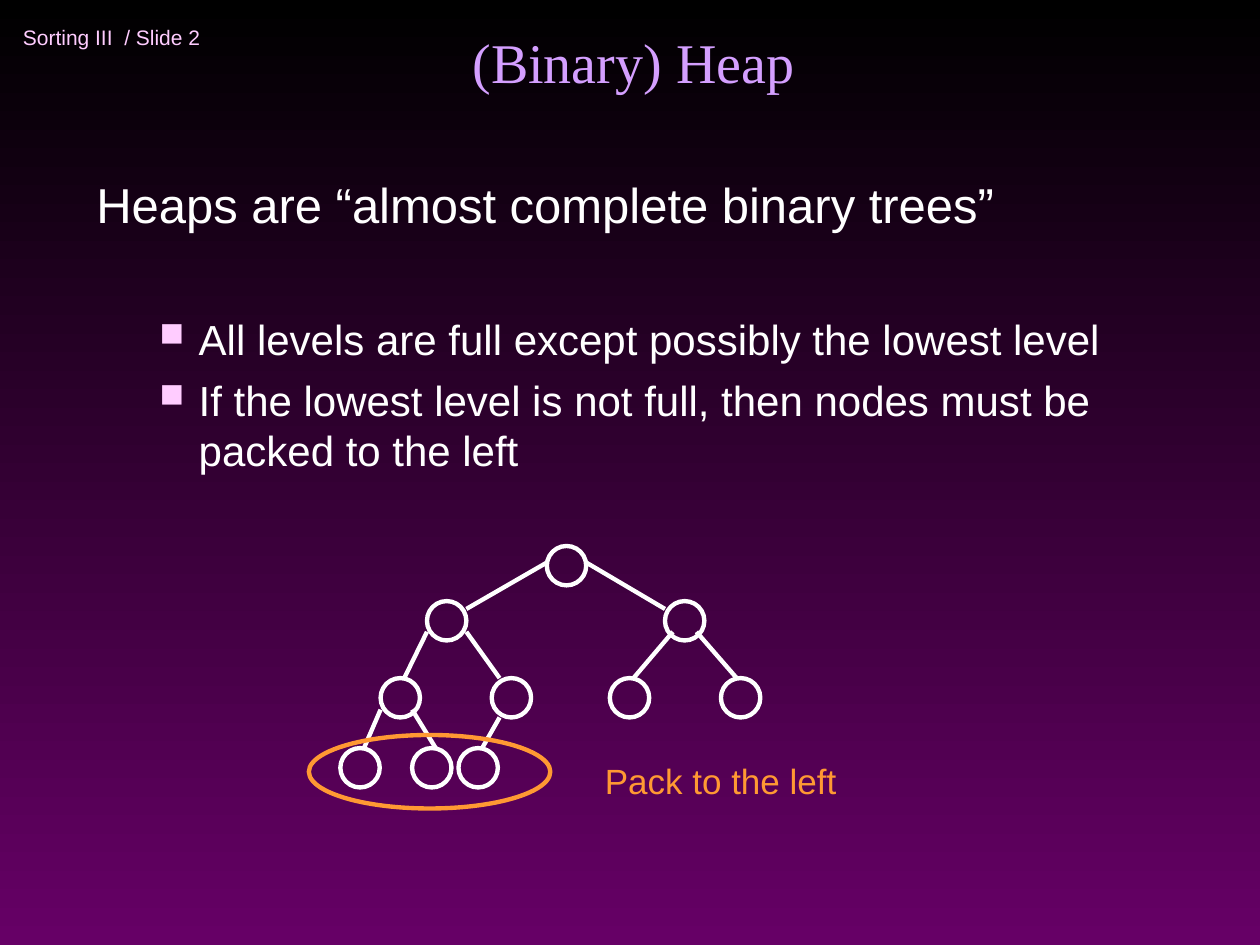
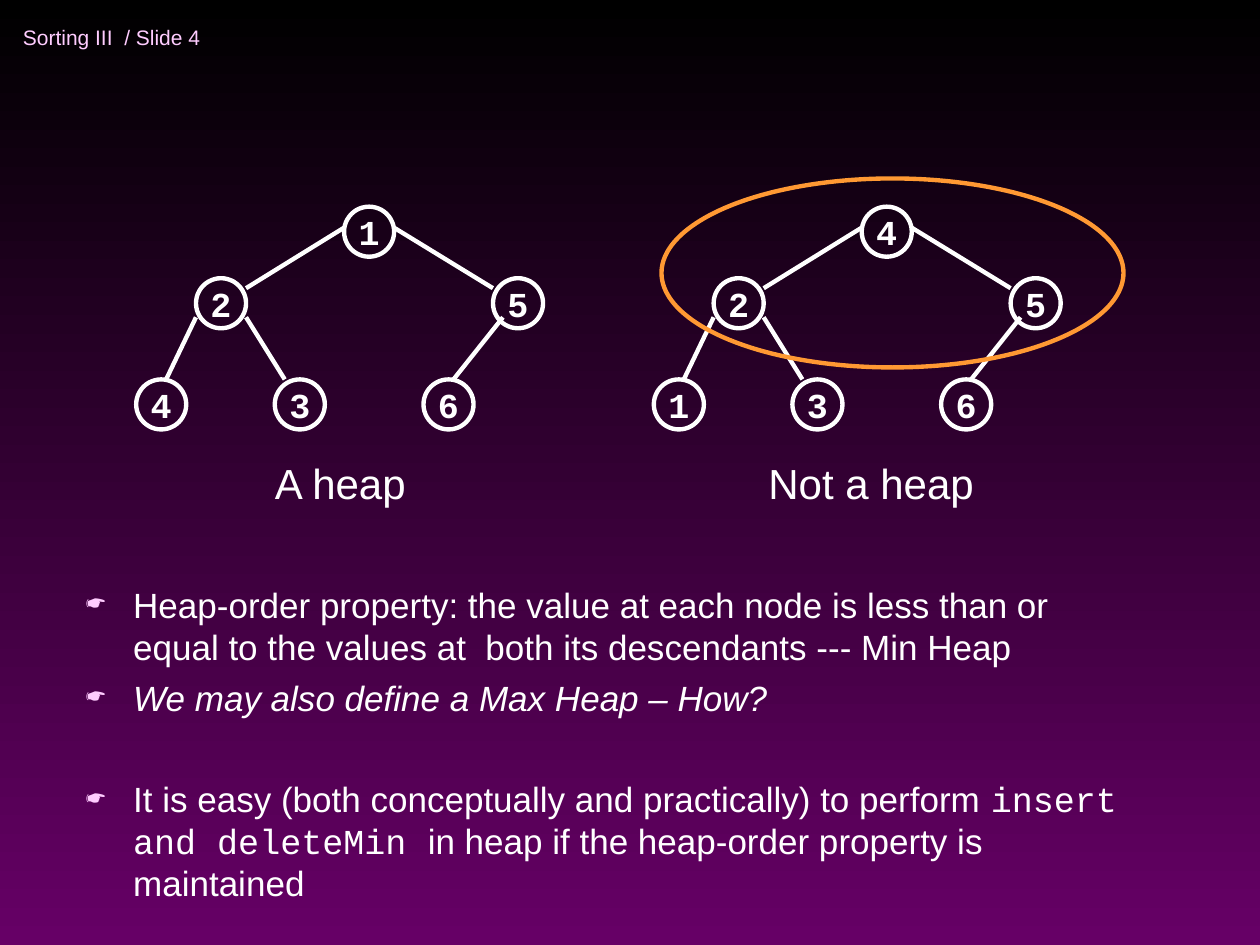
import pptx
import pptx.dml.color
import pptx.enum.shapes
import pptx.enum.text
import pptx.oxml.ns
import pptx.util
from lxml import etree

Pt = pptx.util.Pt
RGBColor = pptx.dml.color.RGBColor
MSO_SHAPE = pptx.enum.shapes.MSO_SHAPE
MSO_CONNECTOR = pptx.enum.shapes.MSO_CONNECTOR
MSO_ANCHOR = pptx.enum.text.MSO_ANCHOR
MSO_AUTO_SIZE = pptx.enum.text.MSO_AUTO_SIZE
PP_ALIGN = pptx.enum.text.PP_ALIGN
qn = pptx.oxml.ns.qn

BLACK = RGBColor(0x00, 0x00, 0x00)
PURPLE = RGBColor(0x66, 0x00, 0x66)
WHITE = RGBColor(0xFF, 0xFF, 0xFF)
PINK = RGBColor(0xFF, 0xCC, 0xFF)
LILAC = RGBColor(0xD4, 0x9F, 0xFF)
ORANGE = RGBColor(0xFF, 0x99, 0x33)

SANS = "Arial"
SERIF = "Times New Roman"
MONO = "Courier New"
LINE_WIDTH = 2.5
TITLE_ONLY, BLANK = 5, 6

# Edge: parent, start within parent, child, end within child (fractions of a node)
TOP_EDGES = [
    ("root", (0, 0.42), "L", (1, 0.2)),
    ("root", (1, 0.42), "R", (0, 0.2)),
    ("L", (0, 0.78), "LL", (0.6, 0)),
    ("L", (1, 0.78), "LR", (0.2, 0)),
    ("R", (0.2, 0.78), "RL", (0.6, 0)),
]
LOW_EDGES = [
    ("R", (0.8, 0.78), "RR", (0.4, 0)),
    ("LL", (0, 0.8), "LLL", (0.6, 0)),
    ("LL", (0.8, 0.8), "LLR", (0.6, 0)),
    ("LR", (0.2, 1), "LRL", (0.6, 0)),
]
PACKED_NODES = {
    "root": (312.5, 312), "L": (244, 343.5), "R": (380, 343.5),
    "LL": (217.5, 387.5), "LR": (281, 387.5),
    "RL": (348.5, 387.5), "RR": (412, 387.5),
    "LLL": (194.5, 427.5), "LLR": (235.5, 427.5), "LRL": (262, 427.5),
}
VALUE_NODES = {
    "root": (196.6, 118.1), "L": (112, 159), "R": (281.7, 159),
    "LL": (77.8, 216.8), "LR": (157, 216.8), "RL": (242, 216.8),
}


def set_background(master):
    fill = master.background.fill
    fill.gradient()
    fill.gradient_angle = 270
    for stop, color in zip(fill.gradient_stops, (BLACK, PURPLE)):
        stop.color.rgb = color


def add_run(paragraph, text, size, color=WHITE, font=SANS, bold=False, italic=False):
    run = paragraph.add_run()
    run.text = text
    run.font.size = Pt(size)
    run.font.name = font
    run.font.color.rgb = color
    run.font.bold = bold
    run.font.italic = italic


def add_text_frame(slide, left, top, width, height, anchor=MSO_ANCHOR.TOP):
    box = slide.shapes.add_textbox(Pt(left), Pt(top), Pt(width), Pt(height))
    frame = box.text_frame
    frame.word_wrap = True
    frame.vertical_anchor = anchor
    return frame


def add_label(slide, text, left, top, width, height, size, color=WHITE,
              anchor=MSO_ANCHOR.TOP):
    frame = add_text_frame(slide, left, top, width, height, anchor)
    add_run(frame.paragraphs[0], text, size, color)


def set_bullet(paragraph, character, percent, margin, indent):
    properties = paragraph._p.get_or_add_pPr()
    properties.set("marL", str(Pt(margin)))
    properties.set("indent", str(Pt(-indent)))
    color = etree.SubElement(properties, qn("a:buClr"))
    etree.SubElement(color, qn("a:srgbClr"), val=str(PINK))
    etree.SubElement(properties, qn("a:buSzPct"), val=str(percent * 1000))
    etree.SubElement(properties, qn("a:buChar"), char=character)


def add_slide(presentation, layout, number):
    slide = presentation.slides.add_slide(presentation.slide_layouts[layout])
    add_label(slide, f"Sorting III  / Slide {number}", 6, 6, 198, 30, 12, PINK,
              MSO_ANCHOR.MIDDLE)
    return slide


def set_title(slide, text):
    title = slide.shapes.title
    title.left, title.top, title.width, title.height = Pt(53), Pt(16.5), Pt(618), Pt(41)
    frame = title.text_frame
    frame.auto_size = MSO_AUTO_SIZE.NONE
    frame.vertical_anchor = MSO_ANCHOR.BOTTOM
    frame.paragraphs[0].alignment = PP_ALIGN.CENTER
    add_run(frame.paragraphs[0], text, 32, LILAC, SERIF)


def add_ellipse(slide, left, top, width, height, color=WHITE):
    ellipse = slide.shapes.add_shape(
        MSO_SHAPE.OVAL, Pt(left), Pt(top), Pt(width), Pt(height))
    ellipse.shadow.inherit = False
    ellipse.fill.background()
    ellipse.line.color.rgb = color
    ellipse.line.width = Pt(LINE_WIDTH)
    return ellipse


def add_node(slide, left, top, size, value):
    node = add_ellipse(slide, left, top, size, size)
    if value:
        frame = node.text_frame
        frame.margin_left = frame.margin_right = 0
        frame.margin_top = frame.margin_bottom = 0
        frame.word_wrap = False
        frame.vertical_anchor = MSO_ANCHOR.MIDDLE
        frame.paragraphs[0].alignment = PP_ALIGN.CENTER
        add_run(frame.paragraphs[0], value, 20, font=MONO, bold=True)


def add_edge(slide, start, end):
    edge = slide.shapes.add_connector(
        MSO_CONNECTOR.STRAIGHT, *(Pt(value) for value in (*start, *end)))
    edge.line.color.rgb = WHITE
    edge.line.width = Pt(LINE_WIDTH)
    etree.SubElement(edge._element.spPr, qn("a:effectLst"))


def add_tree(slide, nodes, edges, size, values=None, shift=0):
    """Draw nodes and edges; values maps node names to their labels."""
    values = values or {}

    def point(name, fraction):
        left, top = nodes[name]
        return left + shift + fraction[0] * size, top + fraction[1] * size

    for name in nodes:
        add_node(slide, *point(name, (0, 0)), size, values.get(name))
    for parent, start, child, end in edges:
        add_edge(slide, point(parent, start), point(child, end))


def build_binary_heap(presentation):
    slide = add_slide(presentation, TITLE_ONLY, 2)
    set_title(slide, "(Binary) Heap")

    frame = add_text_frame(slide, 48, 96, 618, 200)
    add_run(frame.paragraphs[0], "Heaps are “almost complete binary trees”", 28)
    rules = [
        ("All levels are full except possibly the lowest level", 46),
        ("If the lowest level is not full, then nodes must be packed to the left", 6),
    ]
    for text, space_before in rules:
        paragraph = frame.add_paragraph()
        paragraph.level = 1
        paragraph.space_before = Pt(space_before)
        set_bullet(paragraph, "■", 80, 58.5, 22.5)
        add_run(paragraph, text, 24)

    add_tree(slide, PACKED_NODES, TOP_EDGES + LOW_EDGES, 22.5)
    add_ellipse(slide, 176.5, 420, 138, 42, ORANGE)
    add_label(slide, "Pack to the left", 338.5, 430.5, 160, 32, 20, ORANGE)


def build_heap_order(presentation):
    slide = add_slide(presentation, BLANK, 4)

    frame = add_text_frame(slide, 42, 330, 618, 205)
    points = [
        (0, [("Heap-order property: the value at each node is less than or equal to "
              "the values at  both its descendants --- Min Heap", {})]),
        (5, [("We may also define a Max Heap – How?", {"italic": True})]),
        (34, [("It is easy (both conceptually and practically) to perform ", {}),
              ("insert and deleteMin ", {"font": MONO}),
              ("in heap if the heap-order property is maintained", {})]),
    ]
    for index, (space_before, runs) in enumerate(points):
        paragraph = frame.add_paragraph() if index else frame.paragraphs[0]
        paragraph.space_before = Pt(space_before)
        set_bullet(paragraph, "☛", 75, 27, 27)
        for text, style in runs:
            add_run(paragraph, text, 20, **style)

    trees = [("A heap", 150, "125436", 0), ("Not a heap", 432, "425136", 295.8)]
    for caption, caption_left, values, shift in trees:
        add_label(slide, caption, caption_left, 258, 156, 36, 24)
        add_tree(slide, VALUE_NODES, TOP_EDGES, 28.6,
                 dict(zip(VALUE_NODES, values)), shift)
    add_ellipse(slide, 378, 102, 264, 108, ORANGE)


def main():
    presentation = pptx.Presentation()
    presentation.slide_width, presentation.slide_height = Pt(720), Pt(540)
    set_background(presentation.slide_master)
    build_binary_heap(presentation)
    build_heap_order(presentation)
    presentation.save("out.pptx")


if __name__ == "__main__":
    main()
